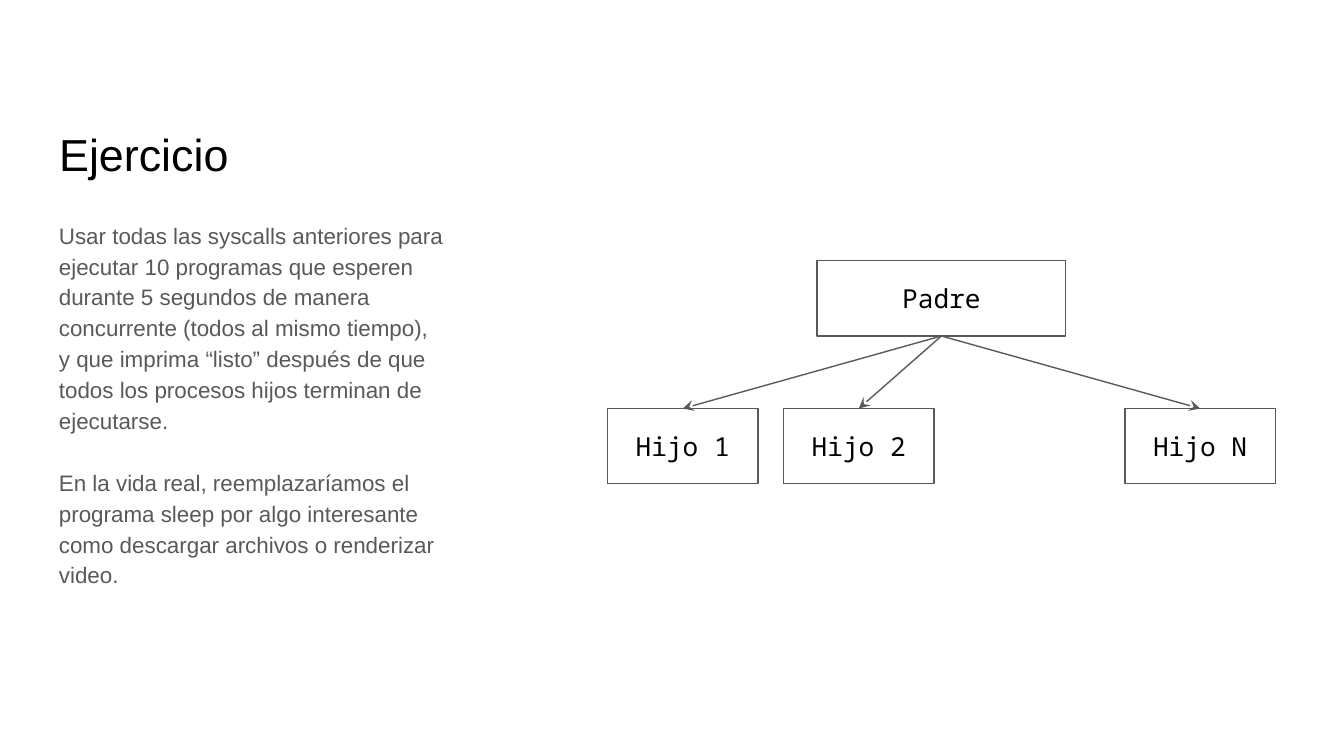
from dataclasses import dataclass

from lxml.etree import SubElement
from pptx import Presentation
from pptx.dml.color import RGBColor
from pptx.enum.shapes import MSO_CONNECTOR, MSO_SHAPE
from pptx.enum.text import MSO_ANCHOR as Anchor, PP_ALIGN as Align
from pptx.oxml.ns import qn
from pptx.util import Inches, Pt

SLIDE_WIDTH = 10
SLIDE_HEIGHT = SLIDE_WIDTH * 9 / 16
BLACK, GRAY = "000000", "595959"
BOX_HEIGHT = 0.56
CHILD_WIDTH = 1.12
CHILD_TOP = 3.04
BOTTOM, TOP = 2, 0  # connection sites of a rectangle


@dataclass
class Process:
    label: str
    left: float
    top: float = CHILD_TOP
    width: float = CHILD_WIDTH


PARENT = Process("Padre", 6.08, 1.94, 1.85)
CHILDREN = [Process("Hijo 1", 4.52), Process("Hijo 2", 5.83), Process("Hijo N", 8.37)]

INSTRUCTIONS = [
    "Usar todas las syscalls anteriores para ejecutar 10 programas que esperen "
    "durante 5 segundos de manera concurrente (todos al mismo tiempo), y que "
    "imprima “listo” después de que todos los procesos hijos terminan de ejecutarse.",
    "En la vida real, reemplazaríamos el programa sleep por algo interesante "
    "como descargar archivos o renderizar video.",
]


def rgb(color: str) -> RGBColor:
    return RGBColor.from_string(color)


def write(shape, paragraphs: list[str], size: float, color: str, font: str = "Arial",
          align=Align.LEFT, anchor=Anchor.TOP, line_spacing: float = 1.0,
          gap: float = 0) -> None:
    """Fill the shape with paragraphs that are gap points apart."""
    frame = shape.text_frame
    frame_format = {"word_wrap": True, "vertical_anchor": anchor}
    for side in ("left", "right", "top", "bottom"):
        frame_format[f"margin_{side}"] = Inches(0.1)
    for name, value in frame_format.items():
        setattr(frame, name, value)
    for index, text in enumerate(paragraphs):
        paragraph = frame.add_paragraph() if index else frame.paragraphs[0]
        paragraph_format = {
            "alignment": align,
            "line_spacing": line_spacing,
            "space_before": Pt(gap if index else 0),
        }
        for name, value in paragraph_format.items():
            setattr(paragraph, name, value)
        run = paragraph.add_run()
        run.text = text
        run.font.name, run.font.size = font, Pt(size)
        run.font.color.rgb = rgb(color)


def outline(shape) -> None:
    shape.line.color.rgb = rgb(GRAY)
    shape.line.width = Pt(0.75)


def draw_process(slide, process: Process):
    box = slide.shapes.add_shape(
        MSO_SHAPE.RECTANGLE, Inches(process.left), Inches(process.top),
        Inches(process.width), Inches(BOX_HEIGHT))
    box.shadow.inherit = False
    box.fill.background()
    outline(box)
    write(box, [process.label], 14, BLACK, "Noto Sans Mono", Align.CENTER, Anchor.MIDDLE)
    return box


def draw_arrow(slide, parent, child) -> None:
    arrow = slide.shapes.add_connector(MSO_CONNECTOR.STRAIGHT, 0, 0, 0, 0)
    arrow.begin_connect(parent, BOTTOM)
    arrow.end_connect(child, TOP)
    outline(arrow)
    SubElement(arrow.line._get_or_add_ln(), qn("a:tailEnd"), type="stealth")
    SubElement(arrow._element.spPr, qn("a:effectLst"))


def main() -> None:
    deck = Presentation()
    deck.slide_width, deck.slide_height = Inches(SLIDE_WIDTH), Inches(SLIDE_HEIGHT)
    slide = deck.slides.add_slide(deck.slide_layouts[5])

    title = slide.shapes.title
    title.left, title.top = Inches(0.34), Inches(0.61)
    title.width, title.height = Inches(3.07), Inches(0.83)
    write(title, ["Ejercicio"], 24, BLACK, anchor=Anchor.BOTTOM)

    instructions = slide.shapes.add_textbox(
        Inches(0.34), Inches(1.52), Inches(3.07), Inches(3.48))
    write(instructions, INSTRUCTIONS, 12, GRAY, line_spacing=1.15, gap=16.5)

    parent = draw_process(slide, PARENT)
    children = [draw_process(slide, child) for child in CHILDREN]
    for child in children:
        draw_arrow(slide, parent, child)

    deck.save("out.pptx")


if __name__ == "__main__":
    main()
